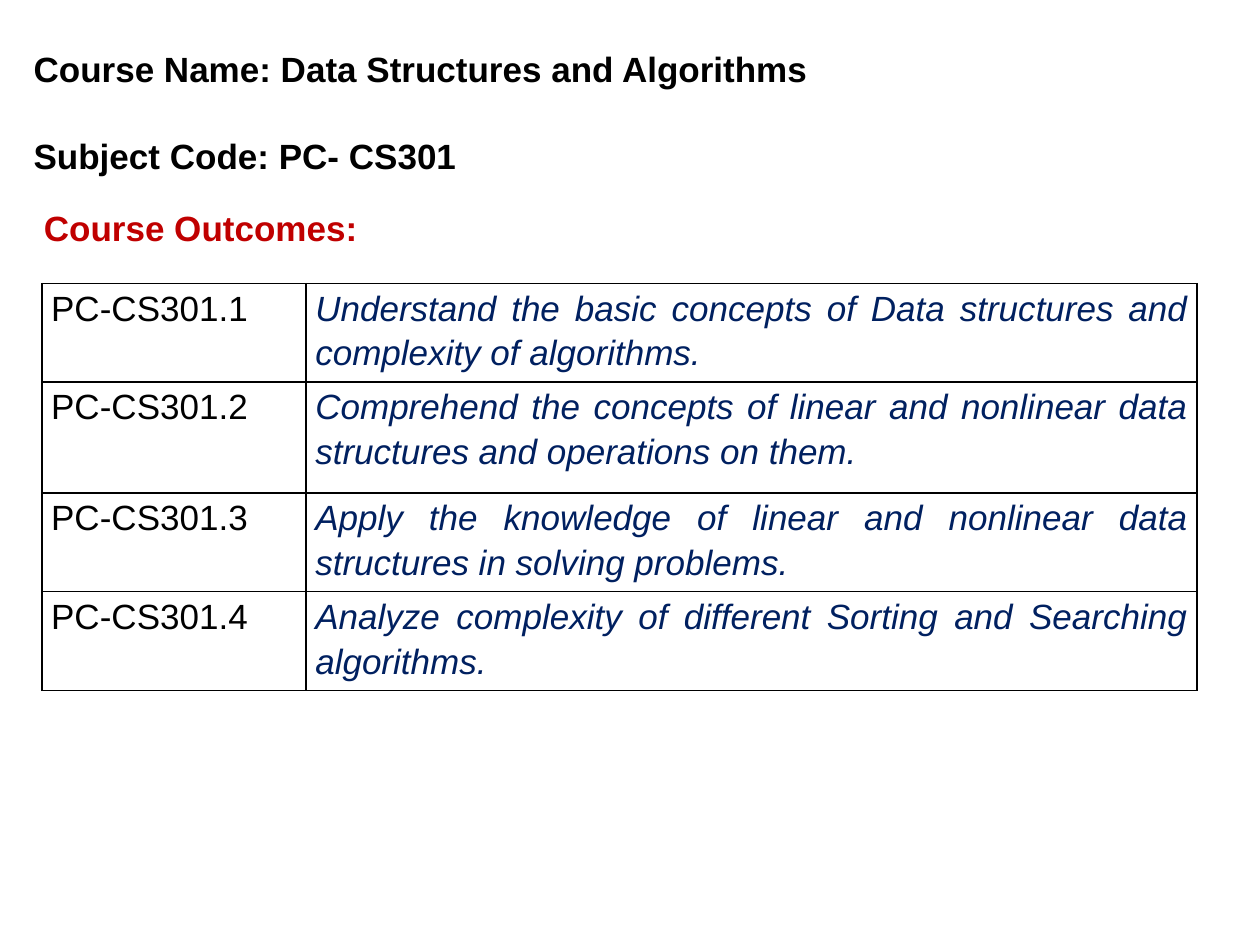
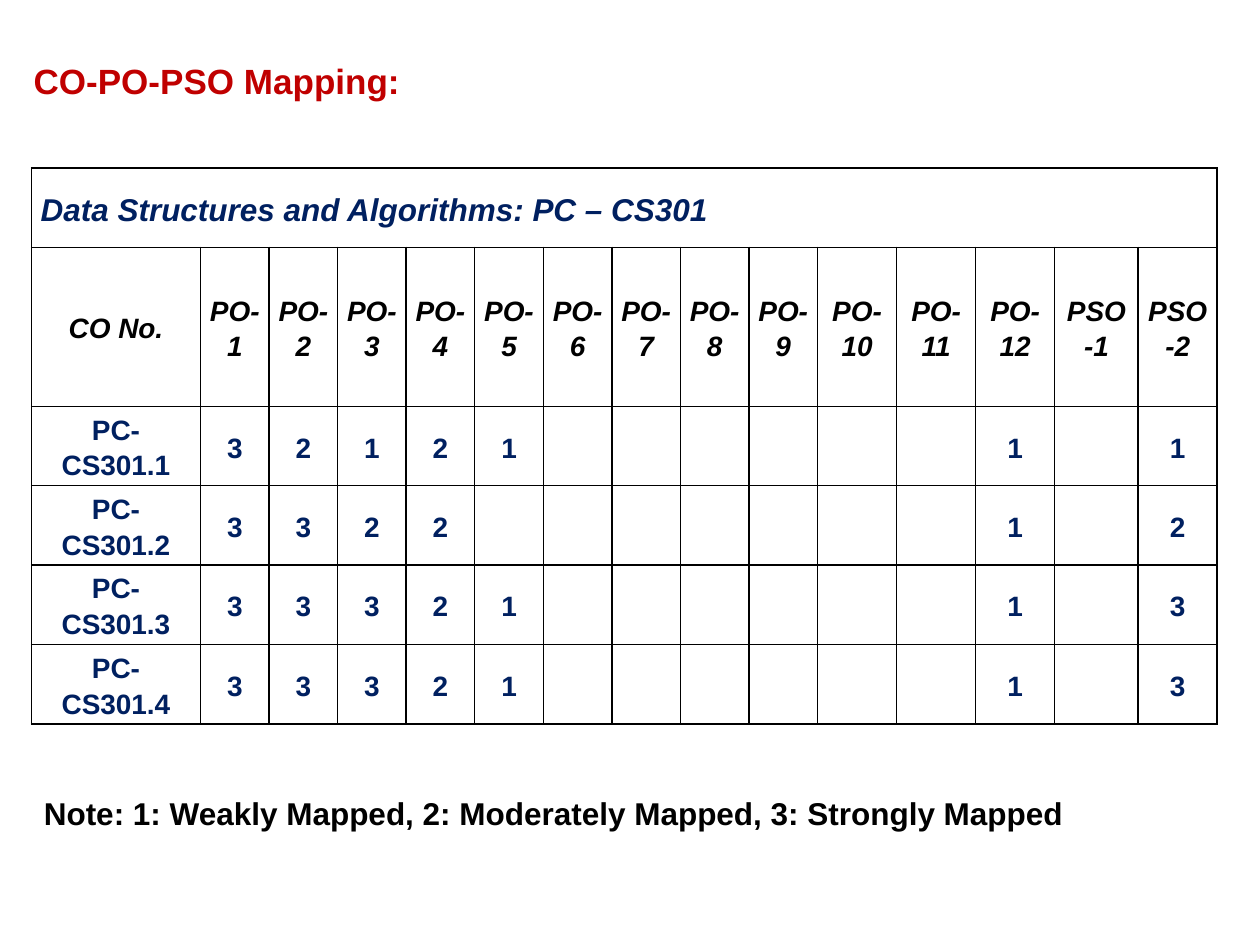
from lxml.etree import SubElement
from pptx import Presentation
from pptx.dml.color import RGBColor
from pptx.enum.text import MSO_ANCHOR, MSO_AUTO_SIZE, PP_ALIGN
from pptx.oxml.ns import qn
from pptx.util import Pt

COLORS = {"text": "000000", "heading": "C00000", "accent": "002060", "border": "000000"}
FONT = "Arial"
SUBJECT = "CS301"
OUTCOMES = [
    "Understand the basic concepts of Data structures and complexity of algorithms.",
    "Comprehend the concepts of linear and nonlinear data structures and operations on them.",
    "Apply the knowledge of linear and nonlinear data structures in solving problems.",
    "Analyze complexity of different Sorting and Searching algorithms.",
]
OUTCOME_CODES = [f"PC-{SUBJECT}.{number}" for number in range(1, len(OUTCOMES) + 1)]
MAPPING_HEADERS = (
    ["CO No."]
    + [f"PO-{number}" for number in range(1, 13)]
    + [f"PSO-{number}" for number in (1, 2)]
)
MAPPING_LEVELS = ["32121------1-1", "3322-------1-2", "33321------1-3", "33321------1-3"]


def add_run(paragraph, text, size, color, bold=False, italic=False):
    """Append one formatted run to a paragraph."""
    run = paragraph.add_run()
    run.text = text
    run.font.name = FONT
    run.font.size = Pt(size)
    run.font.bold = bold
    run.font.italic = italic
    run.font.color.rgb = RGBColor.from_string(COLORS[color])


def fill_text(shape, box, lines, size, color, anchor=MSO_ANCHOR.MIDDLE, gap=0):
    """Place a text shape in its box and write bold left-aligned lines."""
    shape.left, shape.top, shape.width, shape.height = map(Pt, box)
    frame = shape.text_frame
    frame.word_wrap = True
    frame.auto_size = MSO_AUTO_SIZE.NONE
    frame.vertical_anchor = anchor
    for index, line in enumerate(lines):
        paragraph = frame.add_paragraph() if index else frame.paragraphs[0]
        paragraph.alignment = PP_ALIGN.LEFT
        paragraph.space_before = Pt(gap if index else 0)
        add_run(paragraph, line, size, color, bold=True)


def add_text(slide, box, *arguments, **options):
    """Add a text box with bold lines."""
    fill_text(slide.shapes.add_textbox(*map(Pt, box)), box, *arguments, **options)


def add_titled_slide(presentation, box, lines, color, gap=0):
    """Add a title-only slide with its title formatted."""
    slide = presentation.slides.add_slide(presentation.slide_layouts[5])
    fill_text(slide.shapes.title, box, lines, 20, color, gap=gap)
    return slide


def border_cell(cell):
    """Clear the cell fill and draw a thin line on all four sides."""
    cell.fill.background()
    properties = cell._tc.get_or_add_tcPr()
    for index, side in enumerate(("lnL", "lnR", "lnT", "lnB")):
        line = SubElement(properties, qn(f"a:{side}"), w=str(Pt(1)))
        fill = SubElement(line, qn("a:solidFill"))
        SubElement(fill, qn("a:srgbClr"), val=COLORS["border"])
        properties.insert(index, line)


def add_grid(slide, left, top, widths, heights, anchor):
    """Add a bordered table without a banded style and return it."""
    frame = slide.shapes.add_table(
        len(heights), len(widths), Pt(left), Pt(top), Pt(sum(widths)), Pt(sum(heights))
    )
    table = frame.table
    table.first_row = table.horz_banding = False
    for column, width in zip(table.columns, widths):
        column.width = Pt(width)
    for row, height in zip(table.rows, heights):
        row.height = Pt(height)
    for cell in table.iter_cells():
        border_cell(cell)
        cell.vertical_anchor = anchor
        cell.margin_left = cell.margin_right = Pt(5.2)
        cell.margin_top = cell.margin_bottom = 0
    return table


def write_cell(cell, text, alignment, size, color, **style):
    """Write one run of text into a table cell."""
    paragraph = cell.text_frame.paragraphs[0]
    paragraph.alignment = alignment
    paragraph.line_spacing = 1.15
    add_run(paragraph, text, size, color, **style)


def add_outcomes_table(slide, left, top):
    """List each outcome code beside its description."""
    table = add_grid(slide, left, top, [151, 509], [56.4, 63.4, 56.4, 56.4], MSO_ANCHOR.TOP)
    for row, (code, outcome) in enumerate(zip(OUTCOME_CODES, OUTCOMES)):
        write_cell(table.cell(row, 0), code, PP_ALIGN.JUSTIFY, 20, "text")
        write_cell(table.cell(row, 1), outcome, PP_ALIGN.JUSTIFY, 20, "accent", italic=True)


def add_mapping_table(slide, left, top):
    """Show how strongly each course outcome maps to the programme outcomes."""
    widths = [96.6] + [39.2] * 9 + [45.2] * 3 + [47.7, 45.2]
    heights = [45.4, 90.8] + [45.4] * len(OUTCOMES)
    table = add_grid(slide, left, top, widths, heights, MSO_ANCHOR.MIDDLE)
    banner = table.cell(0, 0)
    banner.merge(table.cell(0, len(widths) - 1))
    write_cell(banner, f"Data Structures and Algorithms: PC – {SUBJECT}",
               PP_ALIGN.JUSTIFY, 18, "accent", bold=True, italic=True)
    for column, header in enumerate(MAPPING_HEADERS):
        write_cell(table.cell(1, column), header, PP_ALIGN.CENTER, 16, "text",
                   bold=True, italic=True)
    for row, (code, levels) in enumerate(zip(OUTCOME_CODES, MAPPING_LEVELS), start=2):
        for column, value in enumerate([code, *levels]):
            if value != "-":
                write_cell(table.cell(row, column), value, PP_ALIGN.CENTER, 16, "accent", bold=True)


def add_outcomes_slide(presentation):
    """Build the slide with the course name and its outcomes."""
    lines = ["Course Name: Data Structures and Algorithms", f"Subject Code: PC- {SUBJECT}"]
    slide = add_titled_slide(presentation, (12, 24, 612, 80), lines, "text", gap=25.6)
    add_outcomes_table(slide, 24, 162)
    add_text(slide, (18, 114, 432, 32), ["Course Outcomes:"], 20, "heading")


def add_mapping_slide(presentation):
    """Build the slide with the outcome mapping and its note."""
    slide = add_titled_slide(presentation, (12, 30, 360, 32), ["CO-PO-PSO Mapping:"], "heading")
    add_mapping_table(slide, 18, 96)
    note = "Note: 1: Weakly Mapped, 2: Moderately Mapped, 3: Strongly Mapped"
    add_text(slide, (18, 450, 690, 51), [note], 18, "text", anchor=MSO_ANCHOR.TOP)


def main():
    """Create and save the presentation."""
    presentation = Presentation()
    presentation.slide_width, presentation.slide_height = Pt(720), Pt(540)
    add_outcomes_slide(presentation)
    add_mapping_slide(presentation)
    presentation.save("out.pptx")


if __name__ == "__main__":
    main()
